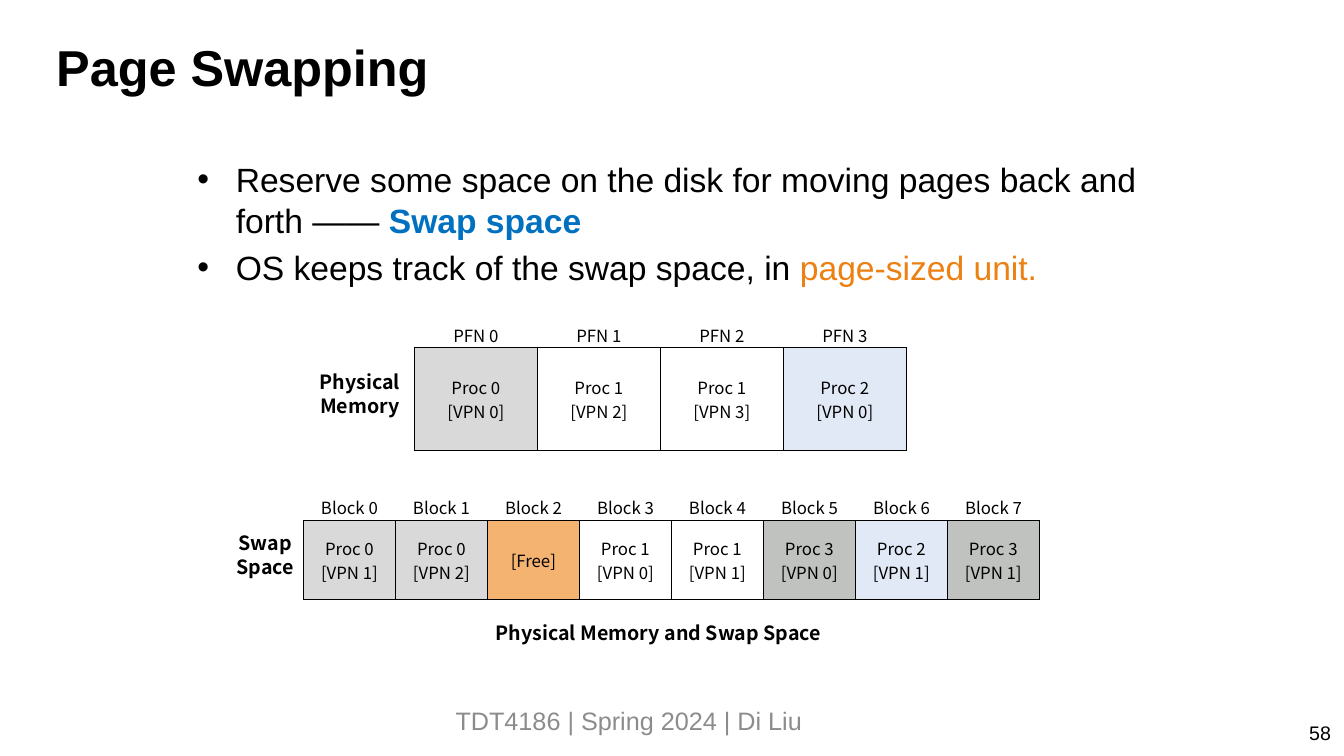
from lxml import etree
from pptx import Presentation, util as u
from pptx.dml.color import RGBColor
from pptx.enum import text
from pptx.oxml.ns import qn

# Content
TITLE = "Page Swapping"
FOOTER = "TDT4186 | Spring 2024 | Di Liu"
PAGE_NUMBER = "58"
CAPTION = "Physical Memory and Swap Space"
BULLETS = [  # runs: wording, colour, bold
    [("Reserve some space on the disk for moving pages back and forth —— ", "black", False),
     ("Swap space", "blue", True)],
    [("OS keeps track of the swap space, in ", "black", False),
     ("page-sized unit.", "orange", False)],
]
PHYSICAL_MEMORY = [  # cell lines, fill
    (["Proc 0", "[VPN 0]"], "proc 0"),
    (["Proc 1", "[VPN 2]"], None),
    (["Proc 1", "[VPN 3]"], None),
    (["Proc 2", "[VPN 0]"], "proc 2"),
]
SWAP_SPACE = [
    (["Proc 0", "[VPN 1]"], "proc 0"),
    (["Proc 0", "[VPN 2]"], "proc 0"),
    (["[Free]"], "free"),
    (["Proc 1", "[VPN 0]"], None),
    (["Proc 1", "[VPN 1]"], None),
    (["Proc 3", "[VPN 0]"], "proc 3"),
    (["Proc 2", "[VPN 1]"], "proc 2"),
    (["Proc 3", "[VPN 1]"], "proc 3"),
]
MEMORIES = [  # name lines, name centre, column prefix, cells, left, top, width, height
    (["Physical", "Memory"], 3.57, "PFN", PHYSICAL_MEMORY, 4.11, 3.45, 4.88, 1.02),
    (["Swap", "Space"], 2.63, "Block", SWAP_SPACE, 3.01, 5.16, 7.3, 0.79),
]
COLOURS = {
    "black": "000000", "blue": "0070C0", "orange": "ED8013", "grey": "8C8C8C",
    "proc 0": "D9D9D9", "proc 2": "E2E9F6", "proc 3": "C0C2C0", "free": "F4B371",
}
SANS, DIAGRAM = "Arial", "Noto Sans CJK KR"
LABEL_WIDTH, LABEL_HEIGHT, NAME_HEIGHT = 1.77, 0.3, 0.57
LABEL_RISE = 0.27  # label top above its table
LEFT, CENTRE, RIGHT = text.PP_ALIGN.LEFT, text.PP_ALIGN.CENTER, text.PP_ALIGN.RIGHT


def colour(name):
    return RGBColor.from_string(COLOURS[name])


def set_font(font, size, name, shade="black", bold=False):
    font.size, font.name, font.bold = u.Pt(size), name, bold
    font.color.rgb = colour(shade)


def write_lines(frame, lines, size, name, align=CENTRE, shade="black", bold=False):
    for index, line in enumerate(lines):
        paragraph = frame.paragraphs[0] if index == 0 else frame.add_paragraph()
        paragraph.text, paragraph.alignment = line, align
        set_font(paragraph.font, size, name, shade, bold)


def add_box(left, top, width, height, anchor=text.MSO_ANCHOR.TOP):
    box = slide.shapes.add_textbox(*map(u.Inches, (left, top, width, height)))
    box.text_frame.word_wrap = True
    box.text_frame.vertical_anchor = anchor
    return box.text_frame


def add_bullet(paragraph):
    properties = paragraph._p.get_or_add_pPr()
    properties.set("marL", str(u.Inches(0.38)))
    properties.set("indent", str(-u.Inches(0.38)))
    etree.SubElement(properties, qn("a:buFont"), typeface=SANS)
    etree.SubElement(properties, qn("a:buChar"), char="•")


def add_borders(cell):
    properties = cell._tc.get_or_add_tcPr()
    for index, side in enumerate(("lnL", "lnR", "lnT", "lnB")):
        line = etree.Element(qn("a:" + side), w=str(u.Pt(1)))
        fill = etree.SubElement(line, qn("a:solidFill"))
        etree.SubElement(fill, qn("a:srgbClr"), val=COLOURS["black"])
        properties.insert(index, line)


def add_memory(name, name_centre, prefix, cells, left, top, width, height):
    frame = slide.shapes.add_table(1, len(cells), *map(u.Inches, (left, top, width, height)))
    table = frame.table
    table.first_row = table.horz_banding = False
    table.rows[0].height = u.Inches(height)
    column = width / len(cells)
    for index, (lines, fill) in enumerate(cells):
        table.columns[index].width = u.Inches(column)
        cell = table.cell(0, index)
        cell.vertical_anchor = text.MSO_ANCHOR.MIDDLE
        write_lines(cell.text_frame, lines, 12, DIAGRAM)
        if fill:
            cell.fill.solid()
            cell.fill.fore_color.rgb = colour(fill)
        else:
            cell.fill.background()
        add_borders(cell)
        # Column label centred above its cell
        label_left = left + (index + 0.5) * column - LABEL_WIDTH / 2
        label = add_box(label_left, top - LABEL_RISE, LABEL_WIDTH, LABEL_HEIGHT)
        write_lines(label, [f"{prefix} {index}"], 12, DIAGRAM)
    # Memory name beside the table
    name_top = top + (height - NAME_HEIGHT) / 2 - 0.05
    label = add_box(name_centre - LABEL_WIDTH / 2, name_top, LABEL_WIDTH, NAME_HEIGHT)
    write_lines(label, name, 14, DIAGRAM, bold=True)


presentation = Presentation()
presentation.slide_width, presentation.slide_height = u.Inches(13.33), u.Inches(7.5)
slide = presentation.slides.add_slide(presentation.slide_layouts[6])

# Title, footer and page number
write_lines(add_box(0.46, 0.3, 12.4, 0.71, text.MSO_ANCHOR.MIDDLE),
            [TITLE], 36, SANS, LEFT, bold=True)
write_lines(add_box(4.42, 6.95, 4.5, 0.4), [FOOTER], 18, SANS, LEFT, "grey")
write_lines(add_box(12.68, 7.1, 0.62, 0.4), [PAGE_NUMBER], 14, SANS, RIGHT)

# Bullets
body = add_box(1.86, 1.53, 9.61, 1.4)
for index, runs in enumerate(BULLETS):
    paragraph = body.paragraphs[0] if index == 0 else body.add_paragraph()
    if index:
        paragraph.space_before = u.Pt(5)
    add_bullet(paragraph)
    for wording, shade, bold in runs:
        run = paragraph.add_run()
        run.text = wording
        set_font(run.font, 24, SANS, shade, bold)

# Memory diagrams and caption
for memory in MEMORIES:
    add_memory(*memory)
write_lines(add_box(4.58, 6.11, 3.9, 0.34), [CAPTION], 14, DIAGRAM, bold=True)

presentation.save("out.pptx")
